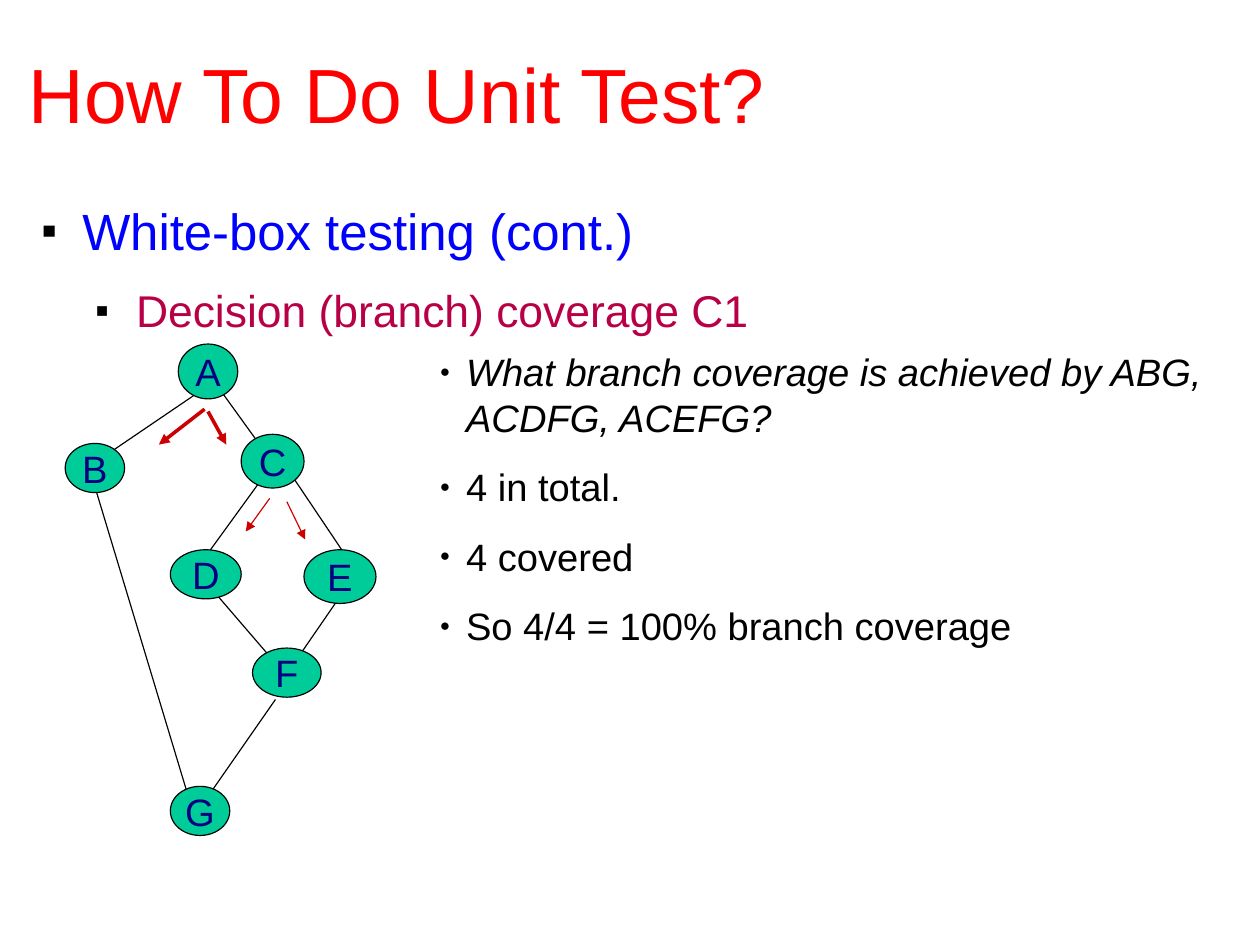
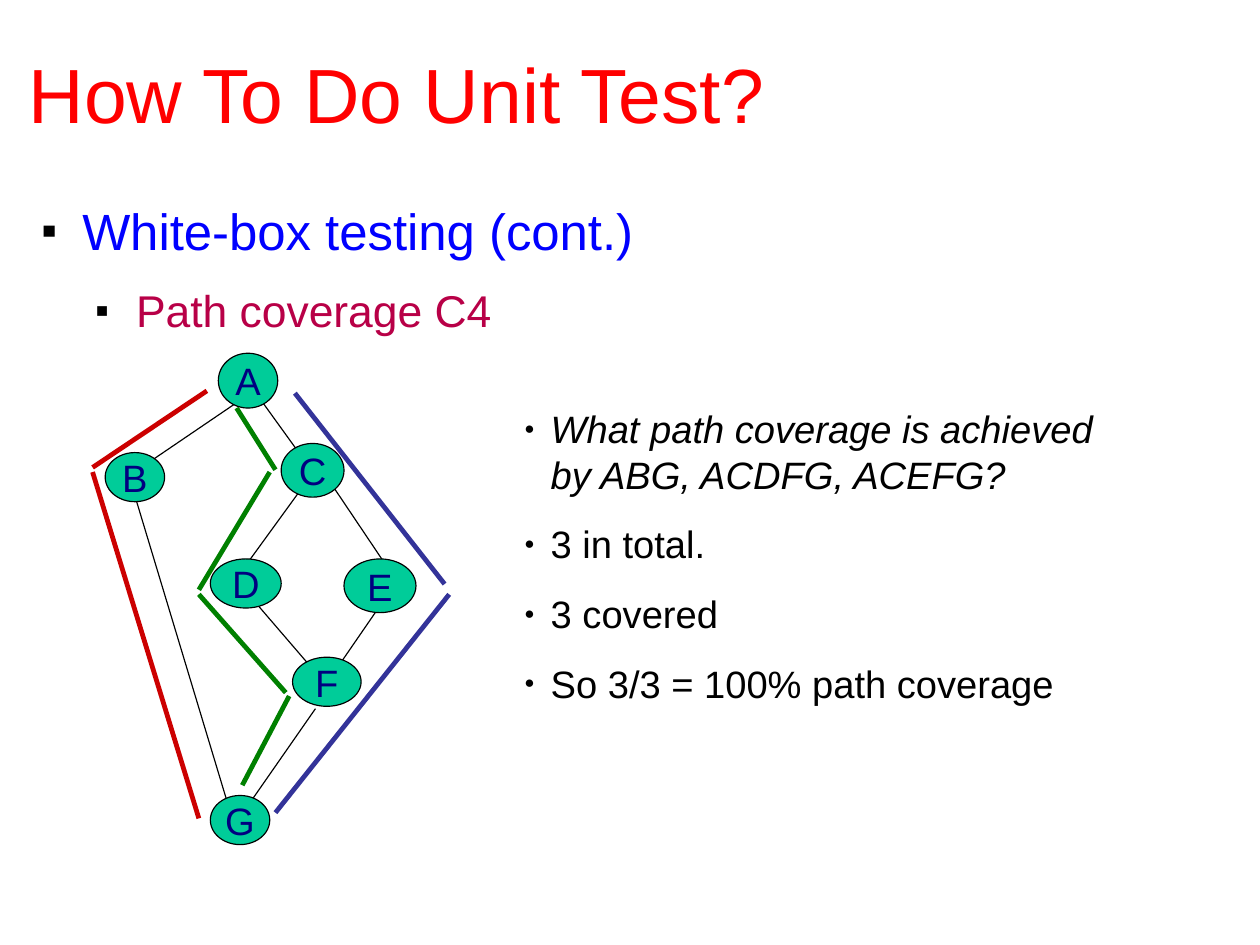
"""Build two slides on branch and path coverage of a small flow graph."""
from lxml import etree
from pptx import Presentation
from pptx.dml.color import RGBColor
from pptx.enum.shapes import MSO_CONNECTOR, MSO_SHAPE
from pptx.enum.text import MSO_ANCHOR, PP_ALIGN
from pptx.oxml.ns import qn
from pptx.util import Cm, Inches, Pt

LINE, OVAL = MSO_CONNECTOR.STRAIGHT, MSO_SHAPE.OVAL
TOP, MID, MIDDLE = MSO_ANCHOR.TOP, MSO_ANCHOR.MIDDLE, PP_ALIGN.CENTER

THEME = {
    "font": "Arial",
    "title": (48.4, "FF0000"),
    "head": (32.1, "0000FF"),
    "topic": (28, "B80047"),
    "note": (24, "000000"),
    "node": (24, "000080"),
    "fill": "00CC99", "black": "000000",
    "red": "CC0000", "green": "008000", "blue": "333399",
    "thin": 0.75, "bold": 2.25, "thick": 3,
}
WIDE, HIGH = Cm(28), Cm(21)
TITLE, HEAD = "How To Do Unit Test?", "White-box testing (cont.)"

NODES = {
    "A": (1.56, 3.01, 0.52, 0.48),
    "B": (0.57, 3.88, 0.52, 0.43),
    "C": (2.11, 3.8, 0.55, 0.47),
    "D": (1.49, 4.81, 0.62, 0.43),
    "E": (2.66, 4.81, 0.63, 0.47),
    "F": (2.21, 5.67, 0.6, 0.43),
    "G": (1.49, 6.88, 0.52, 0.43),
}
EDGES = [
    (1.74, 3.43, 0.96, 3.96), (1.94, 3.43, 2.25, 3.86),
    (2.27, 4.22, 1.82, 4.84), (2.58, 4.2, 3.01, 4.84),
    (1.91, 5.22, 2.34, 5.72), (2.94, 5.27, 2.63, 5.72),
    (2.41, 6.12, 1.86, 6.91), (0.84, 4.29, 1.63, 6.91),
]
SLIDES = [
    {
        "topic": "Decision (branch) coverage C1",
        "shift": (0, 0),
        "box": (3.75, 3, 7.27, 2.73),
        "notes": ["What branch coverage is achieved by ABG, ACDFG, ACEFG?",
                  "4 in total.", "4 covered", "So 4/4 = 100% branch coverage"],
        "arrow": True,
        "marks": [
            ("red", "bold", [(1.79, 3.58, 1.39, 3.89), (1.82, 3.6, 1.98, 3.89)]),
            ("red", "thin", [(2.36, 4.36, 2.15, 4.65), (2.51, 4.39, 2.67, 4.72)]),
        ],
    },
    {
        "topic": "Path coverage C4",
        "shift": (0.35, 0.08),
        "box": (4.49, 3.5, 5.43, 2.73),
        "notes": ["What path coverage is achieved by ABG, ACDFG, ACEFG?",
                  "3 in total.", "3 covered", "So 3/3 = 100% path coverage"],
        "arrow": False,
        "marks": [
            ("red", "thick", [(1.81, 3.42, 0.81, 4.09), (0.81, 4.13, 1.74, 7.16)]),
            ("green", "thick", [(2.07, 3.57, 2.41, 4.11), (2.36, 4.13, 1.74, 5.16),
                                (1.74, 5.2, 2.5, 6.06), (2.53, 6.09, 2.12, 6.87)]),
            ("blue", "thick", [(2.58, 3.44, 3.89, 5.11), (3.93, 5.2, 2.41, 7.11)]),
        ],
    },
]


def color(name):
    return RGBColor.from_string(THEME.get(name, name))


def style(para, kind, slant=False):
    size, tone = THEME[kind]
    for run in para.runs:
        font = run.font
        font.name, font.size, font.italic = THEME["font"], Pt(size), slant
        font.color.rgb = color(tone)


def bullet(para, char, left, hang):
    props = para._p.get_or_add_pPr()
    props.set("marL", str(Inches(left)))
    props.set("indent", str(-Inches(hang)))
    tint = etree.SubElement(props, qn("a:buClr"))
    etree.SubElement(tint, qn("a:srgbClr"), val=THEME["black"])
    etree.SubElement(props, qn("a:buSzPct"), val="45000")
    etree.SubElement(props, qn("a:buFont"), typeface=THEME["font"])
    etree.SubElement(props, qn("a:buChar"), char=char)


def add_text(slide, box, lines, pad=(0, 0), anchor=TOP):
    frame = slide.shapes.add_textbox(*map(Inches, box)).text_frame
    frame.word_wrap, frame.vertical_anchor = True, anchor
    frame.margin_left = frame.margin_right = Inches(pad[0])
    frame.margin_top = frame.margin_bottom = Inches(pad[1])
    frame.text = "\n".join(lines)
    return frame.paragraphs


def add_line(slide, ends, tone, width, arrow=False):
    line = slide.shapes.add_connector(LINE, *map(Inches, ends))
    line.line.color.rgb, line.line.width = color(tone), Pt(THEME[width])
    if arrow:
        stroke = line._element.spPr.find(qn("a:ln"))
        etree.SubElement(stroke, qn("a:tailEnd"), type="triangle")
    etree.SubElement(line._element.spPr, qn("a:effectLst"))


def add_node(slide, name, box):
    node = slide.shapes.add_shape(OVAL, *map(Inches, box))
    node.shadow.inherit = False
    node.fill.solid()
    node.fill.fore_color.rgb = color("fill")
    node.line.color.rgb, node.line.width = color("black"), Pt(THEME["thin"])
    frame = node.text_frame
    frame.text, frame.word_wrap, frame.vertical_anchor = name, False, MID
    para = frame.paragraphs[0]
    para.alignment = MIDDLE
    style(para, "node")


def add_graph(slide, shift):
    right, down = shift
    for x1, y1, x2, y2 in EDGES:
        add_line(slide, (x1 + right, y1 + down, x2 + right, y2 + down), "black", "thin")
    for name, (left, top, wide, high) in NODES.items():
        add_node(slide, name, (left + right, top + down, wide, high))


def add_heads(slide, topic):
    title = add_text(slide, (0.25, 0.25, 10.75, 1.13), [TITLE], anchor=MID)[0]
    style(title, "title")
    paras = add_text(slide, (0.25, 1.75, 10.75, 6), [HEAD, topic])
    levels = [("head", 0.47, 14.1), ("topic", 0.94, 11.3)]
    for level, (para, (kind, left, after)) in enumerate(zip(paras, levels)):
        para.level, para.space_after = level, Pt(after)
        bullet(para, "■", left, 0.35)
        style(para, kind)


def add_notes(slide, box, notes):
    for i, para in enumerate(add_text(slide, box, notes, (0.1, 0.05))):
        para.space_before = Pt(15)
        bullet(para, "●", 0.23, 0.23)
        style(para, "note", slant=i == 0)


def main():
    deck = Presentation()
    deck.slide_width, deck.slide_height = WIDE, HIGH
    for page in SLIDES:
        slide = deck.slides.add_slide(deck.slide_layouts[6])
        add_heads(slide, page["topic"])
        add_notes(slide, page["box"], page["notes"])
        add_graph(slide, page["shift"])
        for tone, width, lines in page["marks"]:
            for ends in lines:
                add_line(slide, ends, tone, width, page["arrow"])
    deck.save("out.pptx")


if __name__ == "__main__":
    main()
